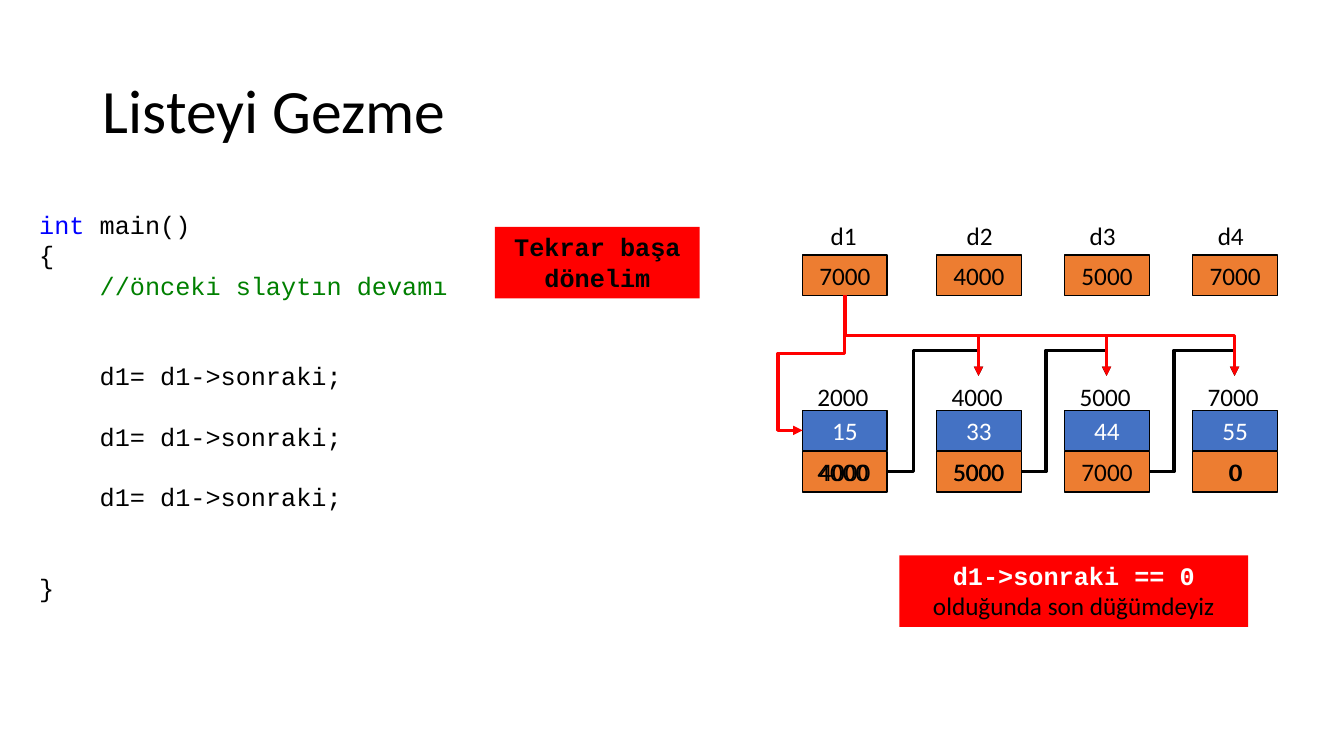
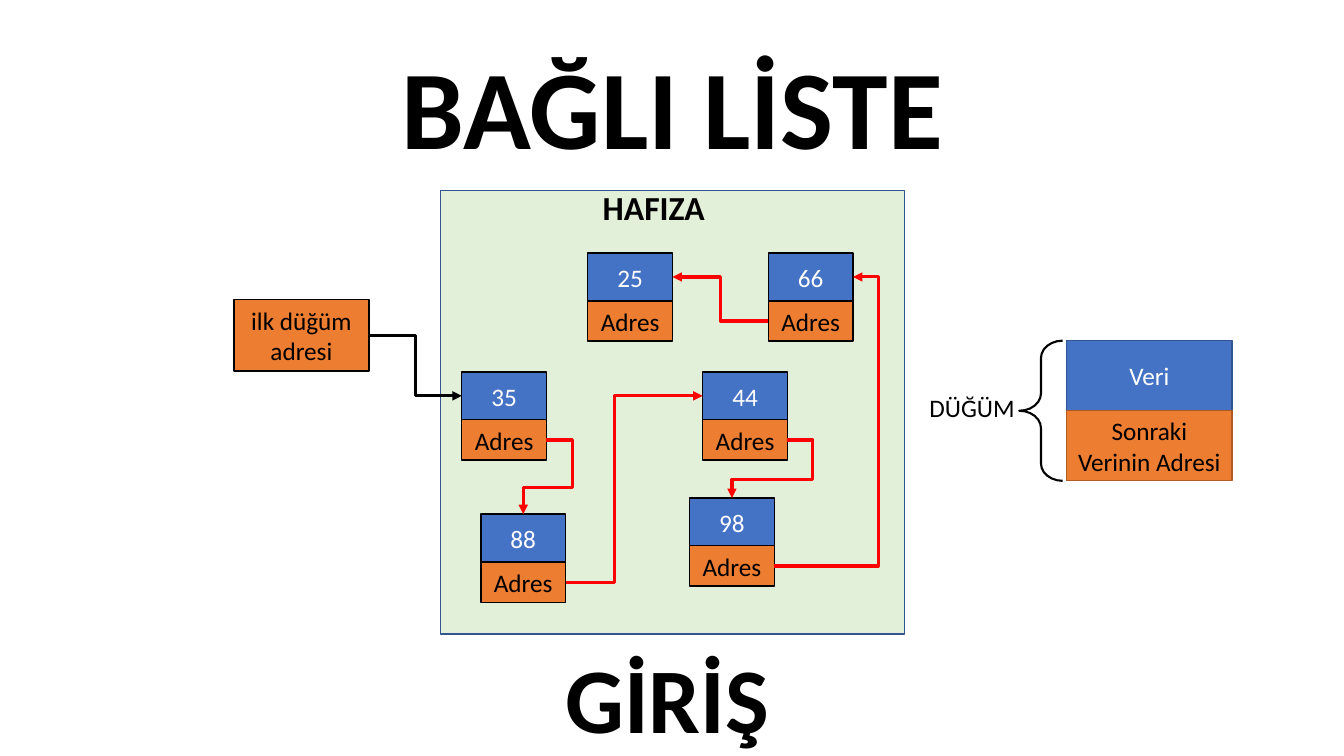
"""Build two slides on linked lists."""
from typing import NamedTuple

from lxml import etree
from pptx import Presentation
from pptx.dml.color import RGBColor
from pptx.enum.shapes import MSO_CONNECTOR, MSO_SHAPE
from pptx.enum.text import MSO_ANCHOR, MSO_AUTO_SIZE, PP_ALIGN
from pptx.oxml.ns import qn
from pptx.util import Inches, Pt

RECT, BRACE = MSO_SHAPE.RECTANGLE, MSO_SHAPE.LEFT_BRACE
ELBOW = MSO_CONNECTOR.ELBOW
TOP, MID = MSO_ANCHOR.TOP, MSO_ANCHOR.MIDDLE
LEFT, CENTER = PP_ALIGN.LEFT, PP_ALIGN.CENTER
FIXED = MSO_AUTO_SIZE.NONE
N_TOP, N_LEFT, N_DOWN, N_RIGHT = range(4)

HUES = {
    "black": "000000", "white": "FFFFFF", "blue": "4472C4", "orange": "ED7D31",
    "red": "FF0000", "mint": "E2F0D9", "navy": "325491", "rust": "AF5C24",
    "key": "0000FF", "note": "008000",
}
SANS, MONO = "Calibri", "Courier New"
CELL = Inches(0.1)
PITCH = 21.6
NODE_W, ROW_H = 8.4, 4.0


class Box(NamedTuple):
    x: float
    y: float
    w: float
    h: float


class Look(NamedTuple):
    fill: str | None
    line: str | None
    ink: str = "black"
    width: float = 1


class Word(NamedTuple):
    text: str
    ink: str = "black"
    face: str = SANS
    bold: bool = False
    size: float = 18


class Row(NamedTuple):
    words: list[Word]
    skip: int = 0


class Link(NamedTuple):
    start: object
    out: int
    end: object
    into: int
    bends: list[float]
    hue: str = "red"


class Spot(NamedTuple):
    value: str
    x: float
    y: float


class Step(NamedTuple):
    x: float
    at: str
    value: str
    after: str
    name: str
    held: str
    shift: float
    echo: Box | None


DATA = Look("blue", "black", "white")
ADDR = Look("orange", "black")
ALERT = Look("red", None)


def area(box: Box) -> list[int]:
    return [round(n * CELL) for n in box]


def hue(name: str) -> RGBColor:
    return RGBColor.from_string(HUES[name])


def style(run, word: Word) -> None:
    font = run.font
    font.name, font.size, font.bold = word.face, Pt(word.size), word.bold
    font.color.rgb = hue(word.ink)


def write(shape, rows: list[Row], align=LEFT, anchor=TOP, pitch=None) -> None:
    frame = shape.text_frame
    frame.word_wrap = True
    frame.auto_size = FIXED
    frame.vertical_anchor = anchor
    for i, row in enumerate(rows):
        para = frame.add_paragraph() if i else frame.paragraphs[0]
        para.alignment = align
        if pitch:
            para.line_spacing = pitch
        if row.skip:
            para.space_before = Pt(row.skip * PITCH)
        for word in row.words:
            run = para.add_run()
            run.text = word.text
            style(run, word)


def label(slide, box: Box, word: Word, align=LEFT, anchor=TOP, pitch=None):
    shape = slide.shapes.add_textbox(*area(box))
    write(shape, [Row([word])], align, anchor, pitch)
    return shape


def draw(slide, box: Box, look: Look, kind=RECT):
    shape = slide.shapes.add_shape(kind, *area(box))
    shape.shadow.inherit = False
    if look.fill:
        shape.fill.solid()
        shape.fill.fore_color.rgb = hue(look.fill)
    else:
        shape.fill.background()
    if look.line:
        shape.line.color.rgb = hue(look.line)
        shape.line.width = Pt(look.width)
    else:
        shape.line.fill.background()
    return shape


def block(slide, box: Box, look: Look, *lines: str):
    shape = draw(slide, box, look)
    write(shape, [Row([Word(t, look.ink)]) for t in lines], CENTER, MID)
    return shape


def alert(slide, box: Box, words: list[Word]) -> None:
    write(draw(slide, box, ALERT), [Row(words)], CENTER, pitch=Pt(PITCH))


def bend(line, out: int) -> None:
    if out == N_RIGHT:
        return
    x1, y1, x2, y2 = line.begin_x, line.begin_y, line.end_x, line.end_y
    frame = line._element.spPr.find(qn("a:xfrm"))
    for key in ("flipH", "flipV"):
        frame.attrib.pop(key, None)
    if out == N_LEFT:
        frame.set("rot", str(180 * 60000))
        return
    wide, high = abs(y2 - y1), abs(x2 - x1)
    line.left, line.top = (x1 + x2 - wide) // 2, (y1 + y2 - high) // 2
    line.width, line.height = wide, high
    frame.set("rot", str((270 if x2 > x1 else 90) * 60000))
    if x2 > x1:
        frame.set("flipH", "1")


def join(slide, link: Link) -> None:
    line = slide.shapes.add_connector(ELBOW, 0, 0, 0, 0)
    line.begin_connect(link.start, link.out)
    line.end_connect(link.end, link.into)
    bend(line, link.out)
    line.line.color.rgb = hue(link.hue)
    line.line.width = Pt(2.25)
    props = line._element.spPr
    geom = props.find(qn("a:prstGeom"))
    geom.set("prst", f"bentConnector{len(link.bends) + 2}")
    guides = geom.find(qn("a:avLst"))
    for i, n in enumerate(link.bends, 1):
        etree.SubElement(guides, qn("a:gd"), name=f"adj{i}",
                         fmla=f"val {round(n * 100000)}")
    etree.SubElement(props.find(qn("a:ln")), qn("a:tailEnd"), type="triangle")
    etree.SubElement(props, qn("a:effectLst"))


def page(deck, word: Word, align):
    slide = deck.slides.add_slide(deck.slide_layouts[5])
    title = slide.shapes.title
    title.left, title.top, title.width, title.height = area(Box(9.2, 4, 115, 14.5))
    write(title, [Row([word])], align, MID, 0.9)
    return slide


def code(slide) -> None:
    def mono(text: str, ink: str = "black") -> Word:
        return Word(text, ink, MONO)

    move = [mono("    d1= d1->sonraki;")]
    rows = [
        Row([mono("int", "key"), mono(" main()")]),
        Row([mono("{")]),
        Row([mono("    //önceki slaytın devamı", "note")]),
        Row(move, 2), Row(move, 1), Row(move, 1),
        Row([mono("}")], 2),
    ]
    shape = slide.shapes.add_textbox(*area(Box(2.9, 20.3, 72.3, 40.4)))
    write(shape, rows, pitch=Pt(PITCH))


def walk(deck) -> None:
    slide = page(deck, Word("Listeyi Gezme", size=44), LEFT)
    code(slide)
    first, gap = 92.9, 12.7
    steps = [
        Step(79.6, "2000", "15", "4000", "d1", "7000", 1.8, Box(79.7, 44.8, 7.8, 4)),
        Step(first, "4000", "33", "5000", "d2", "4000", 2, Box(92.5, 44.8, 9.1, 4)),
        Step(first + gap, "5000", "44", "7000", "d3", "5000", 1.5, None),
        Step(first + 2 * gap, "7000", "55", "0", "d4", "7000", 1.5,
             Box(121, 44.8, 2.8, 4)),
    ]
    marks, cells, nexts, heads = [], [], [], []
    for s in steps:
        marks.append(label(slide, Box(s.x + 0.5, 37.3, 7.3, ROW_H), Word(s.at)))
        cells.append(block(slide, Box(s.x, 40.7, NODE_W, ROW_H), DATA, s.value))
        nexts.append(block(slide, Box(s.x, 44.8, NODE_W, ROW_H), ADDR, s.after))
        heads.append(block(slide, Box(s.x, 25.3, NODE_W, ROW_H), ADDR, s.held))
        label(slide, Box(s.x + s.shift, 21.4, 7.3, ROW_H), Word(s.name))
        if s.echo:
            label(slide, s.echo, Word(s.after), CENTER)
    for cell, mark in zip(nexts, marks[1:]):
        join(slide, Link(cell, N_RIGHT, mark, N_TOP, [0.29, 1.27], "black"))
    join(slide, Link(heads[0], N_DOWN, cells[0], N_LEFT, [0.43, 1.58]))
    for mark in marks[1:]:
        join(slide, Link(heads[0], N_DOWN, mark, N_TOP, [0.5]))
    alert(slide, Box(89.2, 55.1, 34.6, 7.1),
          [Word("d1->sonraki == 0 ", "white", MONO, True),
           Word("olduğunda son düğümdeyiz")])
    alert(slide, Box(49.1, 22.5, 20.3, 7.1),
          [Word("Tekrar başa dönelim", "black", MONO, True)])


def intro(deck) -> None:
    slide = page(deck, Word("BAĞLI LİSTE", bold=True, size=80), CENTER)
    label(slide, Box(8.7, 62.5, 115, 14.5), Word("GİRİŞ", bold=True, size=66),
          CENTER, MID, 0.9)
    draw(slide, Box(43.7, 18.9, 46, 44), Look("mint", "navy"))
    label(slide, Box(58.8, 18.1, 14, 5), Word("HAFIZA", bold=True, size=24))
    spots = [Spot("35", 45.8, 36.9), Spot("88", 47.7, 51), Spot("44", 69.7, 36.9),
             Spot("98", 68.4, 49.4), Spot("66", 76.2, 25.1), Spot("25", 58.3, 25.1)]
    tall = 4.75
    cells = [block(slide, Box(s.x, s.y, NODE_W, tall), DATA, s.value) for s in spots]
    nexts = [block(slide, Box(s.x, s.y + tall, NODE_W, ROW_H), ADDR, "Adres")
             for s in spots]
    head = block(slide, Box(23.2, 29.7, 13.4, 7.1), ADDR, "ilk düğüm", "adresi")
    join(slide, Link(head, N_RIGHT, cells[0], N_LEFT, [0.5], "black"))
    turns = [(N_RIGHT, N_TOP, [-1.12, 0.64]), (N_RIGHT, N_LEFT, [0.36]),
             (N_RIGHT, N_TOP, [-0.46, 0.68]), (N_RIGHT, N_RIGHT, [1.32]),
             (N_LEFT, N_RIGHT, [0.5])]
    for start, end, (out, into, bends) in zip(nexts, cells[1:], turns):
        join(slide, Link(start, out, end, into, bends))
    block(slide, Box(105.8, 33.8, 16.4, 6.95), Look("blue", "navy", "white"), "Veri")
    block(slide, Box(105.8, 40.75, 16.4, 6.95), Look("orange", "rust"),
          "Sonraki Verinin Adresi")
    label(slide, Box(91.2, 38.4, 11, ROW_H), Word("DÜĞÜM"))
    brace = draw(slide, Box(101.1, 33.8, 4.3, 13.9), Look(None, "black", width=1.5),
                 BRACE)
    brace.adjustments[0] = 0.4


def main() -> None:
    deck = Presentation()
    deck.slide_width, deck.slide_height = Inches(13.33), Inches(7.5)
    walk(deck)
    intro(deck)
    deck.save("out.pptx")


if __name__ == "__main__":
    main()
